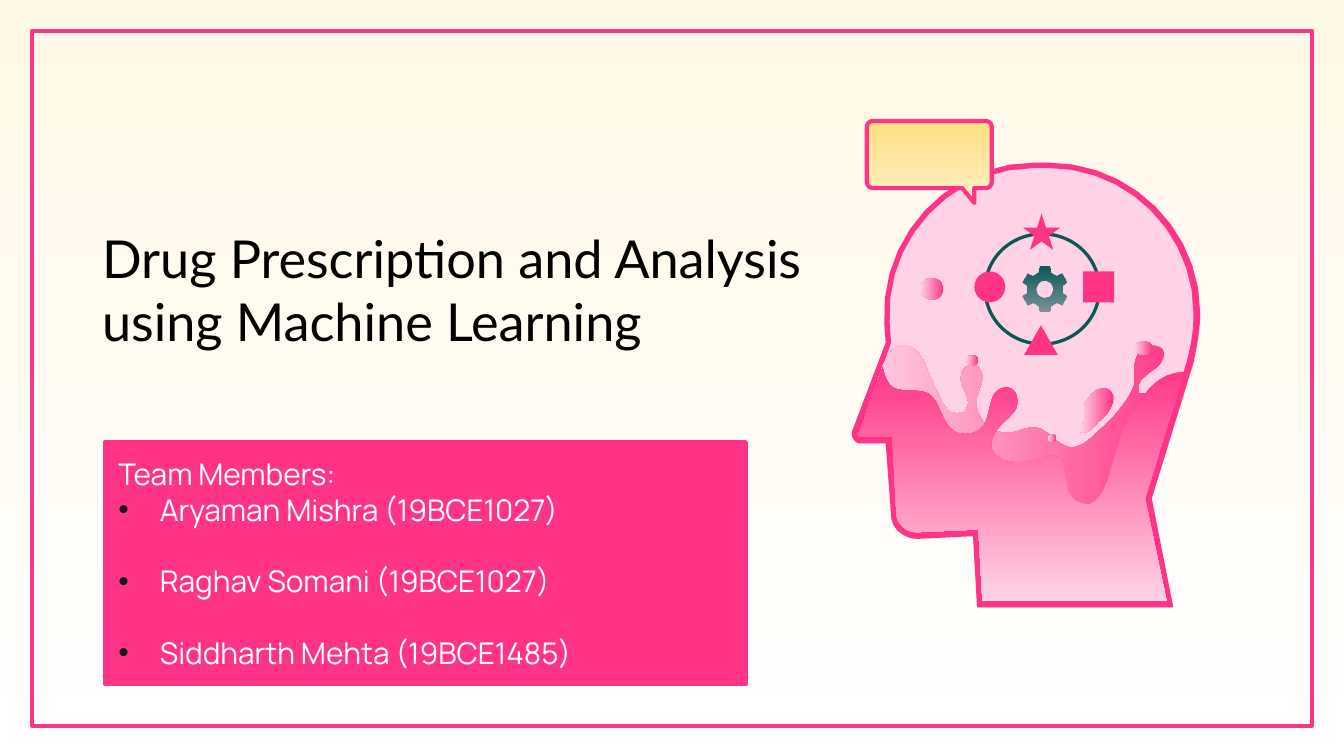
from math import cos, radians, sin

from pptx import Presentation
from pptx.dml.color import RGBColor
from pptx.enum.shapes import MSO_SHAPE
from pptx.enum.text import MSO_ANCHOR, MSO_AUTO_SIZE, PP_ALIGN
from pptx.oxml.xmlchemy import OxmlElement
from pptx.util import Pt

RECTANGLE, OVAL = MSO_SHAPE.RECTANGLE, MSO_SHAPE.OVAL
TRIANGLE, STAR = MSO_SHAPE.ISOSCELES_TRIANGLE, MSO_SHAPE.STAR_5_POINT
MIDDLE, LEFT, NO_AUTOFIT = MSO_ANCHOR.MIDDLE, PP_ALIGN.LEFT, MSO_AUTO_SIZE.NONE

PINK = RGBColor(0xFF, 0x34, 0x86)
PALE_PINK = RGBColor(0xFF, 0xD3, 0xE5)
TEAL = RGBColor(0x09, 0x58, 0x56)
CREAM = RGBColor(0xFF, 0xF8, 0xE6)
YELLOW = RGBColor(0xFF, 0xDF, 0x82)
PALE_YELLOW = RGBColor(0xFF, 0xF0, 0xC6)
WHITE = RGBColor(0xFF, 0xFF, 0xFF)
BLACK = RGBColor(0, 0, 0)
BULLET_COLOR = "191919"

EMU_PER_PX = 9144
DOWN, LEFTWARD = 270, 180
CURVE_STEPS = 10
LINE_WIDTH = 2.25

PINK_DOWN = (PINK, PALE_PINK, DOWN)
PINK_LEFTWARD = (PINK, PALE_PINK, LEFTWARD)

TITLE = "Drug Prescription and Analysis using Machine Learning"
MEMBERS_HEADING = "Team Members:"
MEMBERS = ("Aryaman Mishra (19BCE1027)", "Raghav Somani (19BCE1027)",
           "Siddharth Mehta (19BCE1485)")
TITLE_FONT = {"name": "Lato", "size": Pt(28), "bold": False}
MEMBER_FONT = {"name": "Manrope", "size": Pt(16), "bold": False}
MEMBER_LINE = Pt(19.2)

HEAD = (
    "M 770 121 C 705 121 654 176 658 241 L 659 255 L 634 321 "
    "C 633 325 636 330 640 330 L 659 330 L 663 383 C 663 393 672 401 683 401 "
    "L 724 399 L 727 452 L 873 452 L 857 371 L 888 270 "
    "C 891 256 893 245 893 233 C 893 171 842 121 780 121 ")
HEAD_INSIDE = (
    "M 780 125 C 840 125 888 174 888 233 C 888 244 887 254 883 269 "
    "L 852 371 L 868 447 L 731 447 L 728 394 L 682 396 C 674 396 668 390 667 383 "
    "L 664 325 L 640 325 C 639 325 638 324 639 323 L 663 255 L 662 240 "
    "C 658 178 708 125 770 125 ")
LOWER_FACE = (
    "L 639 323 C 638 324 639 325 640 325 L 664 325 L 667 383 "
    "C 668 390 674 396 682 396 L 728 394 L 731 447 L 868 447 L 852 371 L 881 277 ")
BACK_DRIP = "M 672 257 C 665 257 660 265 657 272 " + LOWER_FACE + (
    "C 868 278 860 288 857 290 C 855 292 853 293 851 293 C 850 293 848 293 847 292 "
    "C 846 287 848 283 852 280 C 855 277 859 275 862 272 C 865 269 867 264 865 260 "
    "C 862 257 858 257 854 258 C 849 259 846 264 845 268 C 843 274 845 280 844 286 "
    "C 842 292 839 297 835 302 C 830 309 824 315 817 321 C 812 326 805 333 797 333 "
    "C 786 332 780 319 770 318 C 763 318 758 321 753 322 C 735 324 724 309 727 295 "
    "C 728 291 730 287 731 282 C 731 278 729 272 725 271 C 720 271 717 274 716 277 "
    "C 714 281 715 285 717 289 C 718 291 719 294 720 297 C 721 300 720 303 718 306 "
    "C 715 308 710 308 706 306 C 703 303 701 299 699 295 C 695 287 691 278 688 270 "
    "C 685 264 680 257 672 257")
FRONT_DRIP = "M 657 272 " + LOWER_FACE + (
    "C 864 277 854 289 846 302 C 840 310 837 316 834 325 L 824 358 "
    "C 821 365 818 373 811 375 C 806 376 801 374 798 370 C 795 367 793 362 793 357 "
    "C 792 352 792 347 790 343 C 787 339 783 338 778 340 C 772 342 764 344 757 344 "
    "C 745 344 739 338 738 334 C 736 328 740 322 744 317 C 748 313 753 309 756 304 "
    "C 758 299 757 291 752 289 C 747 287 742 290 740 293 C 738 296 737 301 736 305 "
    "C 735 309 734 313 732 317 C 728 321 723 323 718 323 C 700 323 702 300 691 293 "
    "C 684 289 673 292 666 289 C 658 286 657 272 657 272")
FALLING_DROP = (
    "M 822 289 C 820 289 817 290 815 291 C 812 293 809 297 807 301 "
    "C 806 306 808 311 806 315 C 805 317 801 322 806 322 C 810 322 815 317 817 314 "
    "C 821 311 826 306 828 300 C 830 294 827 290 822 289")
SPEECH_BUBBLE = (
    "M 733 90 C 736 90 738 92 738 95 L 738 135 C 738 138 736 140 733 140 "
    "L 725 140 L 725 151 L 716 140 L 650 140 C 647 140 645 138 645 135 "
    "L 645 95 C 645 92 647 90 650 90")

DROPLETS = ((685, 207, 17, 16), (780, 323, 6, 6), (844, 254, 14, 10), (719, 264, 9, 8))
RING = (733, 174, 85, 82)
SYMBOLS = ((OVAL, (725, 202, 23, 23)), (RECTANGLE, (806, 202, 23, 23)),
           (TRIANGLE, (762, 242, 25, 22)), (STAR, (761, 159, 28, 27)))


def px(length):
    """Turn a length in px into EMU."""
    return round(length * EMU_PER_PX)


def set_format(target, values):
    """Set each named attribute of the target."""
    for name, value in values.items():
        setattr(target, name, value)


def set_fill(fill, paint):
    """Apply no fill, one colour, or a (start, end, angle) gradient."""
    if paint is None:
        fill.background()
    elif isinstance(paint, RGBColor):
        fill.solid()
        fill.fore_color.rgb = paint
    else:
        fill.gradient()
        fill.gradient_angle = paint[2]
        for stop, color in zip(fill.gradient_stops, paint):
            stop.color.rgb = color


def paint_shape(shape, paint, line_color=None, line_width=LINE_WIDTH):
    """Give a shape its fill and outline, without a shadow."""
    shape.shadow.inherit = False
    set_fill(shape.fill, paint)
    set_fill(shape.line.fill, line_color)
    if line_color is not None:
        shape.line.width = Pt(line_width)
    return shape


def add_preset(slide, kind, box, paint, line_color=None, line_width=LINE_WIDTH):
    """Add a preset shape in a px box."""
    shape = slide.shapes.add_shape(kind, *map(px, box))
    return paint_shape(shape, paint, line_color, line_width)


def bezier(points):
    """Return points along a cubic curve, after its start."""
    for step in range(1, CURVE_STEPS + 1):
        t = step / CURVE_STEPS
        weights = ((1 - t) ** 3, 3 * t * (1 - t) ** 2, 3 * t * t * (1 - t), t ** 3)
        yield tuple(sum(w * p[axis] for w, p in zip(weights, points)) for axis in (0, 1))


def trace(outline):
    """Turn M, L and C commands into a list of points."""
    points, tokens = [], iter(outline.split())
    for command in tokens:
        count = 3 if command == "C" else 1
        targets = [(int(next(tokens)), int(next(tokens))) for _ in range(count)]
        points += bezier([points[-1]] + targets) if command == "C" else targets
    return points


def add_outline(slide, contours, paint, line_color=None):
    """Add a freeform made of closed contours."""
    scaled = [[(px(x), px(y)) for x, y in contour] for contour in contours]
    builder = slide.shapes.build_freeform(*scaled[0][0])
    for index, contour in enumerate(scaled):
        if index:
            builder.move_to(*contour[0])
        builder.add_line_segments(contour[1:], close=True)
    return paint_shape(builder.convert_to_shape(), paint, line_color)


def polar(radius, degrees):
    """Return a point around the gear's centre."""
    return 777 + radius * cos(radians(degrees)), 215 + radius * sin(radians(degrees))


def add_gear(slide):
    """Add a six-toothed gear that fades downwards."""
    teeth = [polar(radius, tooth + offset) for tooth in range(-90, 270, 60)
             for radius, offset in ((13, -20), (17, -13), (17, 13), (13, 20))]
    hole = [polar(6, degrees) for degrees in range(0, 360, 15)]
    gear = add_outline(slide, [teeth, hole], (TEAL, TEAL, DOWN))
    alpha = OxmlElement("a:alpha")
    alpha.set("val", "52000")
    gear._element.xpath(".//a:gs/a:srgbClr")[-1].append(alpha)


def place_text(placeholder, box):
    """Move a placeholder and set up its text frame."""
    set_format(placeholder, dict(zip(("left", "top", "width", "height"), map(px, box))))
    frame = placeholder.text_frame
    margins = {f"margin_{side}": px(10) for side in ("left", "top", "right", "bottom")}
    set_format(frame, {"word_wrap": True, "auto_size": NO_AUTOFIT,
                       "vertical_anchor": MIDDLE, **margins})
    return frame


def write_paragraph(paragraph, text, font, color, **spacing):
    """Write one left-aligned run with its font and spacing."""
    set_format(paragraph, {"alignment": LEFT, "space_before": Pt(0),
                           "space_after": Pt(0), **spacing})
    run = paragraph.add_run()
    run.text = text
    set_format(run.font, font)
    run.font.color.rgb = color


def add_bullet(paragraph):
    """Give a paragraph a hanging round bullet."""
    properties = paragraph._p.get_or_add_pPr()
    properties.set("marL", str(px(31)))
    properties.set("indent", str(px(-31)))
    bullet_color, color, bullet = map(OxmlElement, ("a:buClr", "a:srgbClr", "a:buChar"))
    color.set("val", BULLET_COLOR)
    bullet_color.append(color)
    bullet.set("char", "•")
    properties.extend((bullet_color, bullet))


def add_members(placeholder):
    """Fill the team box with its heading and bulleted names."""
    paint_shape(placeholder, PINK, PINK)
    frame = place_text(placeholder, (78, 329, 477, 180))
    write_paragraph(frame.paragraphs[0], MEMBERS_HEADING, MEMBER_FONT, WHITE,
                    line_spacing=MEMBER_LINE)
    for index, member in enumerate(MEMBERS):
        paragraph = frame.add_paragraph()
        write_paragraph(paragraph, member, MEMBER_FONT, WHITE, line_spacing=MEMBER_LINE,
                        space_before=MEMBER_LINE if index else Pt(0))
        add_bullet(paragraph)


def add_head(slide):
    """Draw the head with its drips, symbols and speech bubble."""
    head = trace(HEAD)
    add_outline(slide, [head], PALE_PINK)
    add_outline(slide, [trace(HEAD_INSIDE), head], PINK)
    for outline, paint in ((BACK_DRIP, PINK_LEFTWARD), (FRONT_DRIP, PINK_DOWN),
                           (FALLING_DROP, PINK_LEFTWARD)):
        add_outline(slide, [trace(outline)], paint)
    for box in DROPLETS:
        add_preset(slide, OVAL, box, PINK_LEFTWARD)
    add_preset(slide, OVAL, RING, None, TEAL, 1.75)
    add_gear(slide)
    for kind, box in SYMBOLS:
        add_preset(slide, kind, box, PINK)
    add_outline(slide, [trace(SPEECH_BUBBLE)], (YELLOW, PALE_YELLOW, DOWN), PINK)


def main():
    """Build and save the title slide."""
    presentation = Presentation()
    set_format(presentation, {"slide_width": px(1000), "slide_height": px(562.5)})
    slide = presentation.slides.add_slide(presentation.slide_layouts[0])
    set_fill(slide.background.fill, (CREAM, WHITE, DOWN))
    add_preset(slide, RECTANGLE, (24, 23, 952, 517), None, PINK)
    title = place_text(slide.shapes.title, (66, 96, 544, 238))
    write_paragraph(title.paragraphs[0], TITLE, TITLE_FONT, BLACK)
    add_members(slide.placeholders[1])
    add_head(slide)
    presentation.save("out.pptx")


if __name__ == "__main__":
    main()
